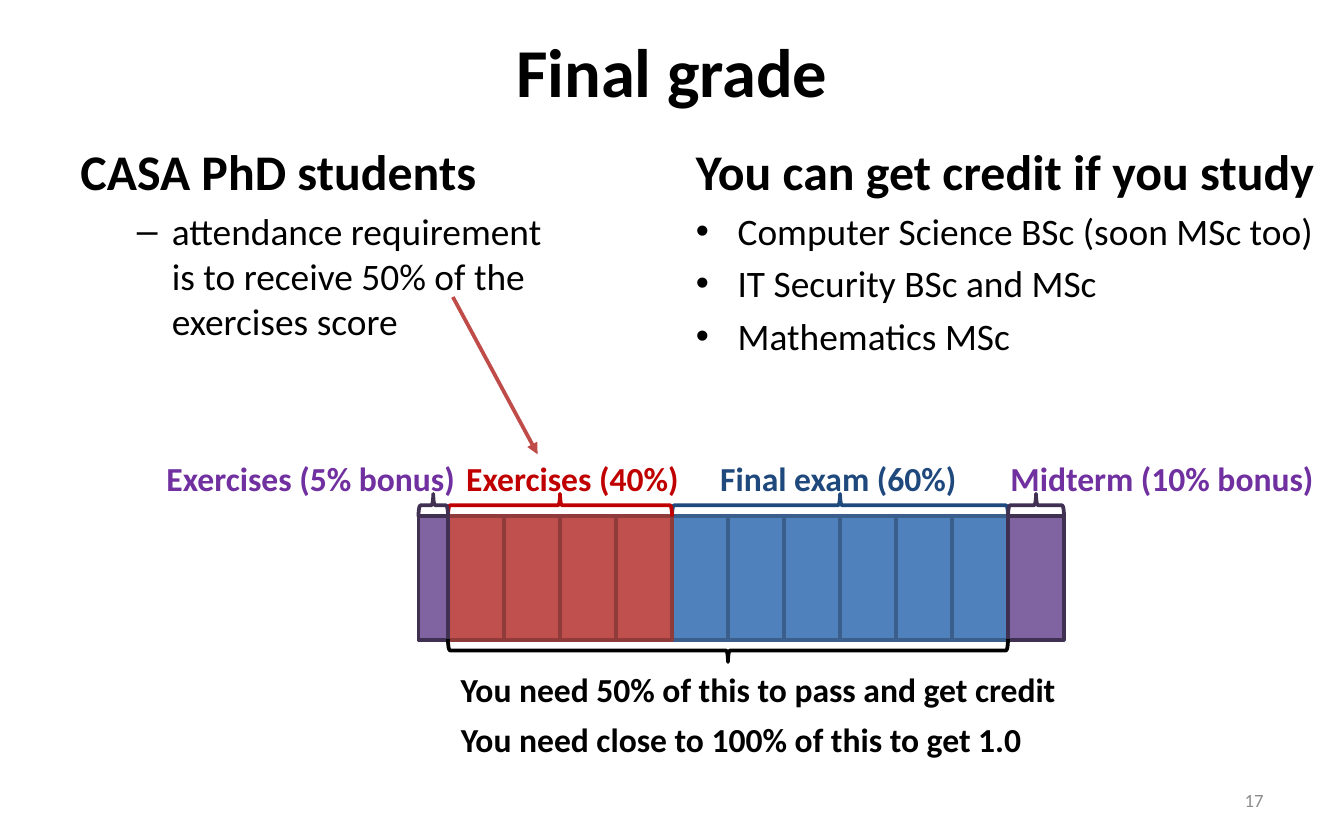
import pptx
import pptx.util
import pptx.dml.color
import pptx.enum.shapes
import pptx.enum.text
import pptx.oxml.ns
from dataclasses import dataclass
from lxml import etree

Inches = pptx.util.Inches
Pt = pptx.util.Pt
RGB = pptx.dml.color.RGBColor.from_string
MSO_SHAPE = pptx.enum.shapes.MSO_SHAPE
ALIGN = pptx.enum.text.PP_ALIGN
ANCHOR = pptx.enum.text.MSO_ANCHOR
AUTO_SIZE = pptx.enum.text.MSO_AUTO_SIZE
qn = pptx.oxml.ns.qn


@dataclass(frozen=True)
class Theme:
    font: str = "Calibri"
    black: str = "000000"
    gray: str = "8C8C8C"
    blue: str = "4F81BD"
    blue_edge: str = "3A5F8C"
    blue_text: str = "1F497D"
    red: str = "C0504D"
    red_edge: str = "8E3B39"
    red_text: str = "C00000"
    arrow: str = "BF4C48"
    purple: str = "8064A2"
    purple_edge: str = "403152"
    purple_text: str = "7030A0"
    title: float = 36.7
    heading: float = 26.7
    body: float = 20
    label: float = 18
    number: float = 10
    line: float = 2


theme = Theme()


def add_run(paragraph, text, size, color=theme.black, bold=False):
    run = paragraph.add_run()
    run.text = text
    run.font.name = theme.font
    run.font.size = Pt(size)
    run.font.bold = bold
    run.font.color.rgb = RGB(color)


def add_outlined(kind, left, top, width, height, line, fill=None):
    shape = slide.shapes.add_shape(kind, Inches(left), Inches(top), Inches(width), Inches(height))
    shape.shadow.inherit = False
    if fill:
        shape.fill.solid()
        shape.fill.fore_color.rgb = RGB(fill)
    else:
        shape.fill.background()
    shape.line.color.rgb = RGB(line)
    shape.line.width = Pt(theme.line)
    return shape


presentation = pptx.Presentation()
presentation.slide_width = Inches(10)
presentation.slide_height = Inches(6.25)
slide = presentation.slides.add_slide(presentation.slide_layouts[5])

title = slide.shapes.title
title.left, title.top, title.width, title.height = Inches(0.5), Inches(0), Inches(9), Inches(1.04)
title.text_frame.auto_size = AUTO_SIZE.NONE
title.text_frame.vertical_anchor = ANCHOR.MIDDLE
title.text_frame.paragraphs[0].alignment = ALIGN.CENTER
add_run(title.text_frame.paragraphs[0], "Final grade", theme.title, bold=True)

number = slide.shapes.add_textbox(Inches(7.17), Inches(5.79), Inches(2.33), Inches(0.33))
number.text_frame.word_wrap = True
number.text_frame.vertical_anchor = ANCHOR.MIDDLE
number.text_frame.paragraphs[0].alignment = ALIGN.RIGHT
add_run(number.text_frame.paragraphs[0], "17", theme.number, theme.gray)

unit = 2.5 / 6
exam_left = 5
exercises_left = exam_left - 4 * unit
midterm_left = exam_left + 6 * unit
bonus_width = 0.22
bonus_left = exercises_left - bonus_width
parts = [
    (exam_left, 6, unit, theme.blue, theme.blue_edge, theme.blue_text),
    (exercises_left, 4, unit, theme.red, theme.red_edge, theme.red_text),
    (midterm_left, 1, unit, theme.purple, theme.purple_edge, theme.purple_edge),
    (bonus_left, 1, bonus_width, theme.purple, theme.purple_edge, theme.purple_edge),
]
braces = [(exercises_left, 10 * unit, 4.84, 270, theme.black)]
for left, count, width, fill, edge, brace_color in parts:
    for index in range(count):
        add_outlined(MSO_SHAPE.RECTANGLE, left + index * width, 3.84, width, 0.92, edge, fill)
    braces.append((left, count * width, 3.76, 90, brace_color))

brace_depth = 0.17
for left, span, middle, rotation, color in braces:
    brace = add_outlined(MSO_SHAPE.LEFT_BRACE, left + (span - brace_depth) / 2,
                         middle - span / 2, brace_depth, span, color)
    brace.rotation = rotation

labels = [
    ("Exercises (5% bonus)", 1.14, 3.36, 2.36, theme.purple_text),
    ("Exercises (40%)", 3.37, 3.36, 1.79, theme.red_text),
    ("Final exam (60%)", 5.26, 3.36, 1.98, theme.blue_text),
    ("Midterm (10% bonus)", 7.42, 3.36, 2.48, theme.purple_text),
    ("You need 50% of this to pass and get credit", 3.33, 4.93, 4.67, theme.black),
    ("You need close to 100% of this to get 1.0", 3.33, 5.3, 4.41, theme.black),
]
for text, left, top, width, color in labels:
    label = slide.shapes.add_textbox(Inches(left), Inches(top), Inches(width), Inches(0.4))
    label.text_frame.word_wrap = False
    label.text_frame.auto_size = AUTO_SIZE.SHAPE_TO_FIT_TEXT
    add_run(label.text_frame.paragraphs[0], text, theme.label, color, True)

columns = [
    (0.5, 4.42, 1.92, "CASA PhD students", "–", 0.68, 0.26,
     [["attendance requirement", "is to receive 50% of the exercises score"]]),
    (5.08, 4.82, 1.98, "You can get credit if you study", "•", 0.31, 0.31,
     [["Computer Science BSc (soon MSc too)"], ["IT Security BSc and MSc"], ["Mathematics MSc"]]),
]
for left, width, height, heading, bullet, margin, hanging, items in columns:
    column = slide.shapes.add_textbox(Inches(left), Inches(1), Inches(width), Inches(height))
    frame = column.text_frame
    frame.word_wrap = True
    add_run(frame.paragraphs[0], heading, theme.heading, bold=True)
    for lines in items:
        paragraph = frame.add_paragraph()
        properties = paragraph._p.get_or_add_pPr()
        properties.set("marL", str(Inches(margin)))
        properties.set("indent", str(-Inches(hanging)))
        etree.SubElement(properties, qn("a:buFont"), typeface="Arial")
        etree.SubElement(properties, qn("a:buChar"), char=bullet)
        paragraph.space_before = Pt(0.2 * theme.body)
        for index, line in enumerate(lines):
            if index:
                paragraph.add_line_break()
            add_run(paragraph, line, theme.body)

arrow = slide.shapes.add_connector(pptx.enum.shapes.MSO_CONNECTOR.STRAIGHT,
                                   Inches(3.37), Inches(2.21), Inches(4), Inches(3.38))
arrow.line.color.rgb = RGB(theme.arrow)
arrow.line.width = Pt(theme.line)
etree.SubElement(arrow.line._get_or_add_ln(), qn("a:tailEnd"), type="triangle")
etree.SubElement(arrow._element.spPr, qn("a:effectLst"))

presentation.save("out.pptx")
